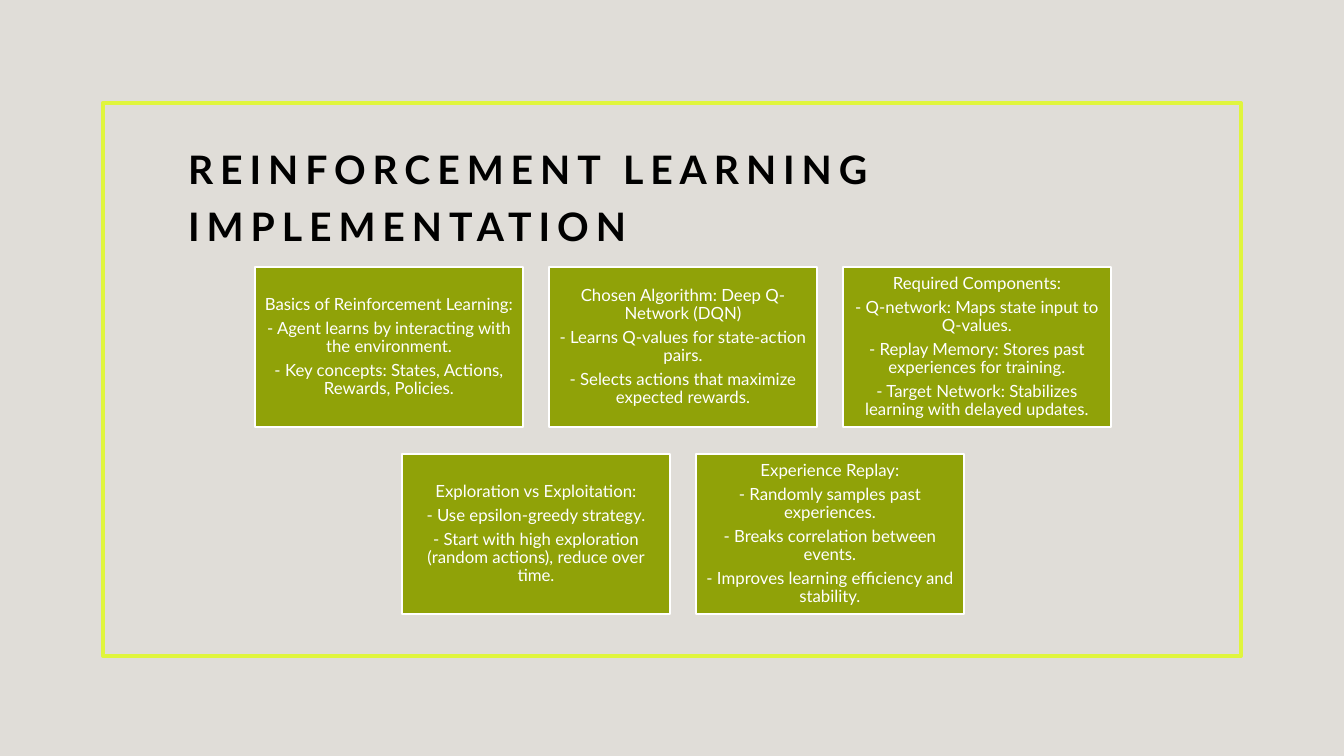
from pptx import Presentation
from pptx.dml.color import RGBColor
from pptx.enum.shapes import MSO_SHAPE
from pptx.enum.text import MSO_ANCHOR, MSO_AUTO_SIZE, PP_ALIGN
from pptx.util import Emu, Pt

RECT = MSO_SHAPE.RECTANGLE
LEFT, CENTER = PP_ALIGN.LEFT, PP_ALIGN.CENTER
BOTTOM, MIDDLE = MSO_ANCHOR.BOTTOM, MSO_ANCHOR.MIDDLE

# Content
TITLE = "REINFORCEMENT LEARNING IMPLEMENTATION"
CARD_ROWS = [
    [
        ["Basics of Reinforcement Learning:",
         "- Agent learns by interacting with the environment.",
         "- Key concepts: States, Actions, Rewards, Policies."],
        ["Chosen Algorithm: Deep Q-Network (DQN)",
         "- Learns Q-values for state-action pairs.",
         "- Selects actions that maximize expected rewards."],
        ["Required Components:",
         "- Q-network: Maps state input to Q-values.",
         "- Replay Memory: Stores past experiences for training.",
         "- Target Network: Stabilizes learning with delayed updates."],
    ],
    [
        ["Exploration vs Exploitation:",
         "- Use epsilon-greedy strategy.",
         "- Start with high exploration (random actions), reduce over time."],
        ["Experience Replay:",
         "- Randomly samples past experiences.",
         "- Breaks correlation between events.",
         "- Improves learning efficiency and stability."],
    ],
]

# Layout in px
SLIDE_W, SLIDE_H = 1344, 756
FRAME = (103, 103, 1138, 553)
TITLE_BOX = (178, 140, 1010, 114)
CARD_W, CARD_H, GAP_X, GAP_Y = 268, 160, 26, 27
CARDS_CENTER, CARDS_TOP = 683, 267
INSET = 5

# Formats
TITLE_FONT = {"name": "Lato", "size": Pt(28), "bold": True}
TITLE_PARA = {"alignment": LEFT, "line_spacing": 1.2}
CARD_FONT = {"name": "Lato", "size": Pt(12), "bold": False}
CARD_PARA = {"alignment": CENTER, "line_spacing": 0.9, "space_after": Pt(4.2)}


def px(n):
    return Emu(round(n * 9144000 / 1008))


def color(hex_code):
    return RGBColor.from_string(hex_code)


def set_attrs(obj, values):
    for name, value in values.items():
        setattr(obj, name, value)


def write(tf, lines, para, font, font_color):
    for i, line in enumerate(lines):
        p = tf.paragraphs[0] if i == 0 else tf.add_paragraph()
        set_attrs(p, para)
        r = p.add_run()
        r.text = line
        set_attrs(r.font, font)
        r.font.color.rgb = color(font_color)


def add_box(s, box, fill, line, width):
    sp = s.shapes.add_shape(RECT, *map(px, box))
    sp.shadow.inherit = False
    if fill:
        sp.fill.solid()
        sp.fill.fore_color.rgb = color(fill)
    else:
        sp.fill.background()
    sp.line.color.rgb = color(line)
    sp.line.width = Pt(width)
    return sp


prs = Presentation()
prs.slide_width, prs.slide_height = px(SLIDE_W), px(SLIDE_H)
s = prs.slides.add_slide(prs.slide_layouts[5])
s.background.fill.solid()
s.background.fill.fore_color.rgb = color("E0DDD8")

# Frame
add_box(s, FRAME, None, "E0F53D", 3)

# Title
title = s.shapes.title
set_attrs(title, dict(zip(("left", "top", "width", "height"), map(px, TITLE_BOX))))
tf = title.text_frame
set_attrs(tf, {"vertical_anchor": BOTTOM, "word_wrap": True,
               "auto_size": MSO_AUTO_SIZE.NONE})
write(tf, [TITLE], TITLE_PARA, TITLE_FONT, "000000")
tf.paragraphs[0].runs[0]._r.get_or_add_rPr().set("spc", "500")

# Cards, each row centred
for row, cards in enumerate(CARD_ROWS):
    row_w = len(cards) * (CARD_W + GAP_X) - GAP_X
    y = CARDS_TOP + row * (CARD_H + GAP_Y)
    for col, lines in enumerate(cards):
        x = CARDS_CENTER - row_w // 2 + col * (CARD_W + GAP_X)
        card = add_box(s, (x, y, CARD_W, CARD_H), "90A208", "FFFFFF", 1)
        tf = card.text_frame
        set_attrs(tf, {"vertical_anchor": MIDDLE, "word_wrap": True})
        for side in ("left", "top", "right", "bottom"):
            setattr(tf, f"margin_{side}", px(INSET))
        write(tf, lines, CARD_PARA, CARD_FONT, "FFFFFF")

prs.save("out.pptx")
